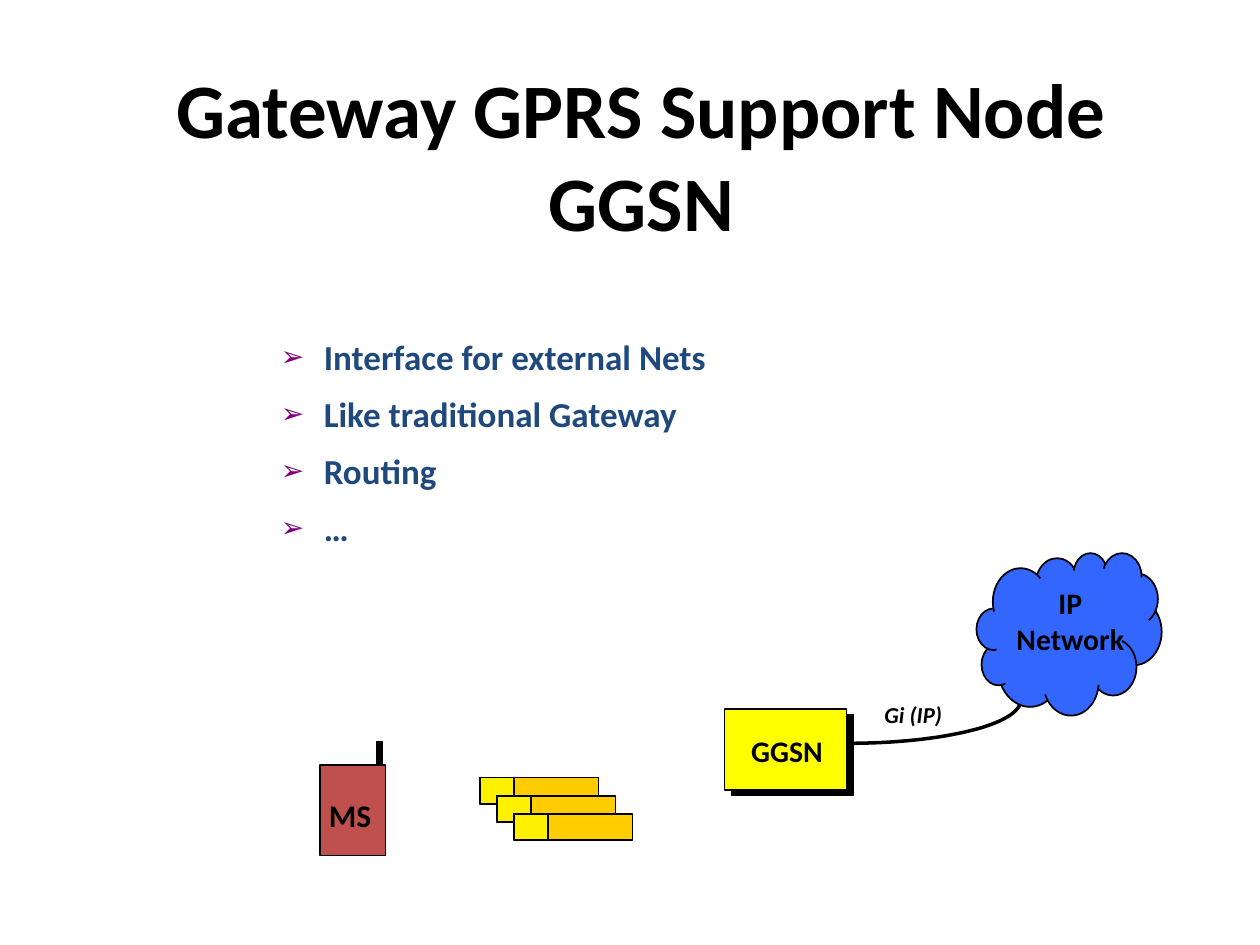
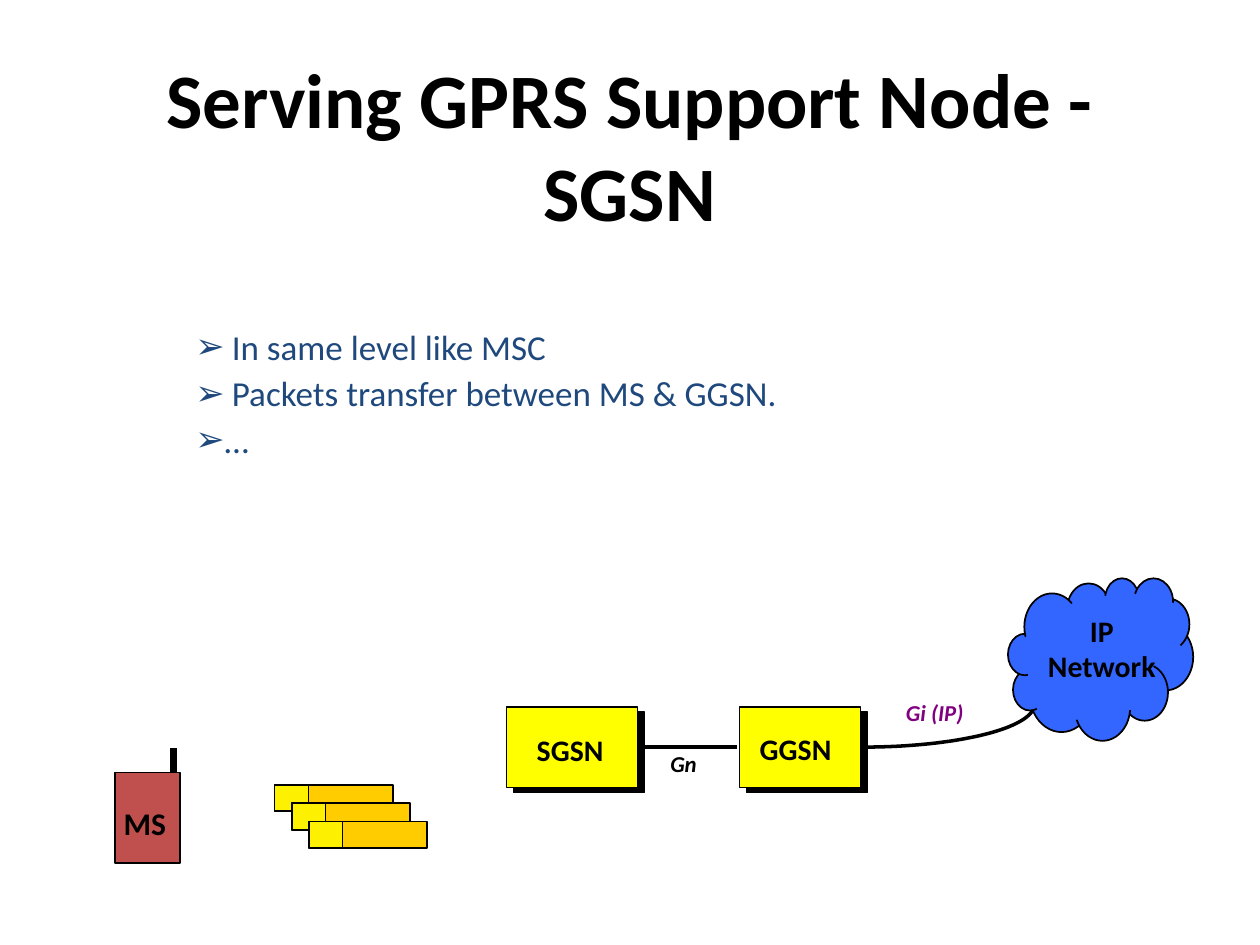
"""Build two slides on the GPRS support nodes, GGSN and SGSN."""
from dataclasses import dataclass
from math import cos, pi, sin
from typing import Any, NamedTuple

from lxml import etree
from pptx import Presentation
from pptx.dml.color import RGBColor
from pptx.enum.shapes import MSO_CONNECTOR, MSO_SHAPE
from pptx.enum.text import MSO_ANCHOR, MSO_AUTO_SIZE, PP_ALIGN
from pptx.oxml.ns import qn
from pptx.util import Inches, Pt

RECT, OVAL = MSO_SHAPE.RECTANGLE, MSO_SHAPE.OVAL
LINE = MSO_CONNECTOR.STRAIGHT
TOP, MIDDLE = MSO_ANCHOR.TOP, MSO_ANCHOR.MIDDLE
LEFT, CENTER = PP_ALIGN.LEFT, PP_ALIGN.CENTER
GROW, FIXED = MSO_AUTO_SIZE.SHAPE_TO_FIT_TEXT, MSO_AUTO_SIZE.NONE

FONT = "Calibri"
BLACK, NAVY, PURPLE = "000000", "1F497D", "800080"
BLUE, RED, YELLOW = "3366FF", "C0504D", "FFFF00"
GOLD, LEMON = "FFCC00", "FDF101"


class Area(NamedTuple):
    """Left, top, width and height in inches."""
    x: float
    y: float
    w: float
    h: float

    def move(self, dx: float, dy: float) -> "Area":
        """Return the area shifted."""
        return Area(self.x + dx, self.y + dy, self.w, self.h)


@dataclass(frozen=True)
class Style:
    """The look of a text box."""
    size: float
    color: str = BLACK
    bold: bool = True
    italic: bool = False
    align: Any = LEFT
    anchor: Any = TOP
    pad: float = 0.09
    wrap: bool = False
    grow: bool = True


@dataclass(frozen=True)
class List:
    """The spacing and mark of a bullet list."""
    color: str
    scale: int
    lead: float
    before: float
    after: float
    indents: tuple[float, ...]


TITLE = Style(44, align=CENTER, anchor=MIDDLE, pad=0.1, wrap=True, grow=False)
NODE = Style(17, align=CENTER, anchor=MIDDLE, pad=0.11)
CLOUD = Style(17, align=CENTER, anchor=MIDDLE, pad=0.03)
SIDE = Style(17, pad=0.08)
PHONE = Style(18)
LINK = Style(13, italic=True)
PLUM = Style(13, PURPLE, italic=True)
STRONG = Style(20, NAVY, anchor=MIDDLE, pad=0.11)
PLAIN = Style(20, NAVY, bold=False, wrap=True, grow=False)

PUFFS = (
    Area(0.47, 0.04, 0.34, 0.41), Area(0.77, 0, 0.27, 0.33),
    Area(1.03, 0.36, 0.44, 0.53), Area(0.17, 0.6, 0.51, 0.62),
    Area(0.9, 0.68, 0.37, 0.45), Area(0.04, 0.72, 0.27, 0.33),
    Area(0, 0.44, 0.27, 0.33), Area(0.13, 0.12, 0.44, 0.53),
    Area(0.53, 0.76, 0.44, 0.53), Area(1.1, 0.16, 0.34, 0.41),
    Area(1, 0, 0.31, 0.37),
)
CORE = (
    (0.51, 0.2), (0.57, 0.13), (0.8, 0.14), (0.97, 0.1), (1.18, 0.23),
    (1.29, 0.19), (1.34, 0.2), (1.35, 0.51), (1.39, 0.56), (1.29, 0.79),
    (1.18, 0.63), (1.15, 0.71), (1, 1.04), (0.5, 1.13), (0.24, 1.06),
    (0.16, 0.86), (0.16, 0.66), (0.12, 0.48),
)


def paint(part: Any, color: str) -> None:
    """Give a fill or a font its colour."""
    if hasattr(part, "solid"):
        part.solid()
        part = part.fore_color
    else:
        part = part.color
    part.rgb = RGBColor.from_string(color)


def stroke(line: Any, width: float) -> None:
    """Set a black outline of the given width."""
    paint(line.fill, BLACK)
    line.width = Pt(width)


def form(pen: Any, kind: Any, area: Area, color: str) -> Any:
    """Draw a filled preset shape with a thin outline."""
    shape = pen.add_shape(kind, *map(Inches, area))
    shape.shadow.inherit = False
    paint(shape.fill, color)
    stroke(shape.line, 1)
    return shape


def wire(pen: Any, x: float, y: float, dx: float, dy: float, width: float) -> None:
    """Draw a straight line from a point."""
    line = pen.add_connector(LINE, *map(Inches, (x, y, x + dx, y + dy)))
    stroke(line.line, width)
    etree.SubElement(line.element.spPr, qn("a:effectLst"))


def trace(pen: Any, points: list[tuple[float, float]], close: bool) -> Any:
    """Draw an outline through points given in inches."""
    spots = [(Inches(x), Inches(y)) for x, y in points]
    build = pen.build_freeform(*spots[0])
    build.add_line_segments(spots[1:], close=close)
    shape = build.convert_to_shape()
    shape.shadow.inherit = False
    return shape


def write(pen: Any, area: Area, lines: tuple[str, ...], style: Style) -> Any:
    """Add a text box with one paragraph a line."""
    box = pen.add_textbox(*map(Inches, area))
    frame = box.text_frame
    frame.word_wrap = style.wrap
    frame.auto_size = GROW if style.grow else FIXED
    frame.vertical_anchor = style.anchor
    frame.margin_left = frame.margin_right = Inches(style.pad)
    frame.margin_top = frame.margin_bottom = Inches(0.05)
    for rank, line in enumerate(lines):
        para = frame.add_paragraph() if rank else frame.paragraphs[0]
        para.alignment = style.align
        run = para.add_run()
        run.text = line
        font = run.font
        font.name, font.size = FONT, Pt(style.size)
        font.bold, font.italic = style.bold, style.italic
        paint(font, style.color)
    return box


def bullets(pen: Any, area: Area, lines: tuple[str, ...], style: Style, look: List) -> None:
    """Add a list with arrow bullets."""
    paras = write(pen, area, lines, style).text_frame.paragraphs
    for rank, (para, indent) in enumerate(zip(paras, look.indents)):
        props = para._p.get_or_add_pPr()
        props.set("marL", str(Inches(indent)))
        props.set("indent", str(-Inches(indent)))
        tint = etree.SubElement(props, qn("a:buClr"))
        etree.SubElement(tint, qn("a:srgbClr"), val=look.color)
        etree.SubElement(props, qn("a:buSzPct"), val=str(look.scale * 1000))
        etree.SubElement(props, qn("a:buFont"), typeface=FONT)
        etree.SubElement(props, qn("a:buChar"), char="➢")
        para.line_spacing = look.lead
        para.space_before = Pt(look.before if rank else 0)
        para.space_after = Pt(look.after)


def node(pen: Any, area: Area) -> None:
    """Draw a network node with a hard shadow."""
    shape = form(pen, RECT, area, YELLOW)
    effects = shape.element.spPr.find(qn("a:effectLst"))
    shade = etree.SubElement(effects, qn("a:outerShdw"), dist=str(Pt(5)),
                             dir=str(37 * 60000), algn="ctr", rotWithShape="0")
    etree.SubElement(shade, qn("a:srgbClr"), val=BLACK)


def curve(pen: Any, x: float, y: float) -> None:
    """Draw the quarter arc that joins a node to the cloud."""
    steps = 32
    turns = [pi / 2 * step / steps for step in range(steps + 1)]
    points = [(x + 1.37 * cos(turn), y + 0.34 * sin(turn)) for turn in turns]
    arc = trace(pen, points, False)
    arc.fill.background()
    stroke(arc.line, 2)


def cloud(slide: Any, x: float, y: float, drop: float) -> None:
    """Draw the IP network cloud, its label set down by drop."""
    pen = slide.shapes.add_group_shape().shapes
    for puff in PUFFS:
        form(pen, OVAL, puff.move(x, y), BLUE)
    core = trace(pen, [(x + dx, y + dy) for dx, dy in CORE], True)
    paint(core.fill, BLUE)
    core.line.fill.background()
    write(pen, Area(x + 0.21, y + drop, 1.07, 0.67), ("IP", "Network"), CLOUD)


def phone(slide: Any, x: float, y: float) -> None:
    """Draw the mobile station."""
    pen = slide.shapes.add_group_shape().shapes
    form(pen, RECT, Area(x, y, 0.52, 0.72), RED)
    wire(pen, x + 0.47, y - 0.19, 0, 0.19, 4)
    write(pen, Area(x - 0.02, y + 0.2, 0.52, 0.39), ("MS",), PHONE)


def packets(slide: Any, x: float, y: float) -> None:
    """Draw three stacked packets, each with a header."""
    pen = slide.shapes.add_group_shape().shapes
    for rank in range(3):
        for width, color in ((0.94, GOLD), (0.27, LEMON)):
            area = Area(x, y, width, 0.21)
            form(pen, RECT, area.move(rank * 0.27 / 2, rank * 0.29 / 2), color)


def gateway(deck: Any) -> None:
    """Build the GGSN slide."""
    slide = deck.slides.add_slide(deck.slide_layouts[6])
    pen = slide.shapes
    write(pen, Area(0.83, 0.6, 8.52, 1.25), ("Gateway GPRS Support Node GGSN",), TITLE)
    phone(slide, 2.54, 6.07)
    curve(pen, 6.73, 5.56)
    write(pen, Area(6.93, 5.51, 0.64, 0.31), ("Gi (IP)",), LINK)
    lines = ("Interface for external Nets", "Like traditional Gateway", "Routing", "…")
    bullets(pen, Area(2.12, 2.56, 3.68, 1.85), lines, STRONG,
            List(PURPLE, 80, 1.15, 1.2, 3.7, (0.34,) * 4))
    cloud(slide, 7.75, 4.39, 0.2)
    packets(slide, 3.81, 6.17)
    node(pen, Area(5.75, 5.63, 0.97, 0.64))
    write(pen, Area(5.85, 5.76, 0.79, 0.39), ("GGSN",), NODE)


def serving(deck: Any) -> None:
    """Build the SGSN slide."""
    slide = deck.slides.add_slide(deck.slide_layouts[6])
    pen = slide.shapes
    write(pen, Area(0.75, 0.52, 8.5, 1.25), ("Serving GPRS Support Node - SGSN",), TITLE)
    lines = ("In same level like MSC", "Packets transfer between MS & GGSN.", "…")
    bullets(pen, Area(1.46, 2.57, 6.25, 1.92), lines, PLAIN,
            List(NAVY, 100, 0.9, 5, 0, (0.29, 0.29, 0.23)))
    curve(pen, 6.84, 5.59)
    node(pen, Area(4.02, 5.61, 1.04, 0.64))
    node(pen, Area(5.87, 5.61, 0.96, 0.64))
    write(pen, Area(5.95, 5.75, 0.73, 0.37), ("GGSN",), SIDE)
    wire(pen, 5.11, 5.93, 0.74, 0, 2)
    write(pen, Area(5.23, 5.9, 0.4, 0.31), ("Gn",), LINK)
    write(pen, Area(7.1, 5.5, 0.64, 0.31), ("Gi (IP)",), PLUM)
    write(pen, Area(4.15, 5.75, 0.75, 0.39), ("SGSN",), NODE)
    cloud(slide, 8, 4.59, 0.22)
    phone(slide, 0.91, 6.13)
    packets(slide, 2.18, 6.23)


def main() -> None:
    """Build and save the deck."""
    deck = Presentation()
    deck.slide_width, deck.slide_height = Inches(10), Inches(7.5)
    gateway(deck)
    serving(deck)
    deck.save("out.pptx")


if __name__ == "__main__":
    main()
